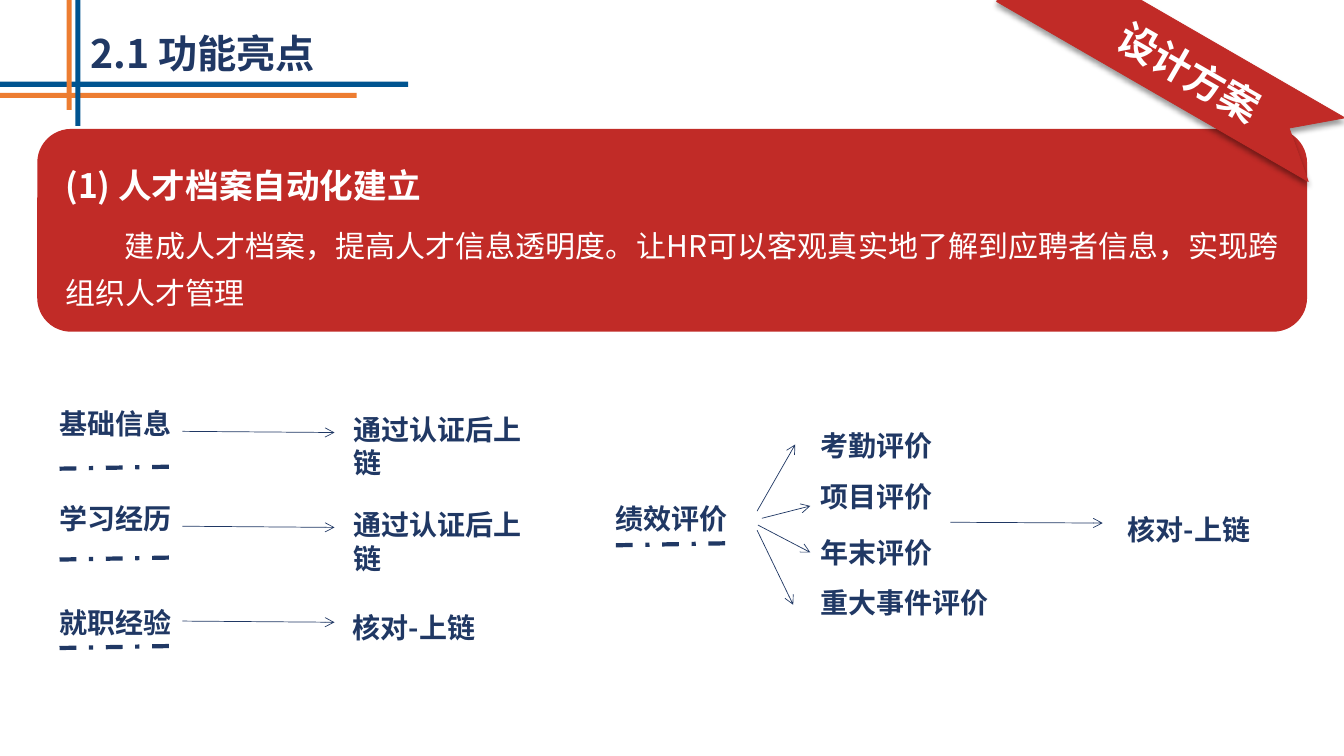
from lxml.etree import SubElement
from pptx import Presentation
from pptx.dml.color import RGBColor
from pptx.enum.dml import MSO_LINE
from pptx.enum.shapes import MSO_CONNECTOR, MSO_SHAPE
from pptx.enum.text import MSO_ANCHOR, PP_ALIGN
from pptx.oxml.ns import qn
from pptx.util import Cm, Pt

NAVY = RGBColor(0x20, 0x38, 0x64)
RED = RGBColor(0xC1, 0x2B, 0x27)
BLUE = RGBColor(0x00, 0x54, 0x90)
ORANGE = RGBColor(0xED, 0x7D, 0x31)
WHITE = RGBColor(0xFF, 0xFF, 0xFF)
FONT = "Noto Sans CJK SC"

# name, name top, arrow y, dash y, result, result left and top, width, spacing
ROWS = [
    ("基础信息", 10.11, 10.87, 11.81, "通过认证后上链", 8.66, 10.26, 5.4, 1),
    ("学习经历", 12.52, 13.26, 14.1, "通过认证后上链", 8.66, 12.67, 5.4, 1),
    ("就职经验", 15.14, 15.65, 16.33, "核对-上链", 8.64, 14.83, 3.6, 1.5),
]
# label, label top, label width, arrow start, arrow end
FAN = [
    ("考勤评价", 10.67, 3.33, (19.08, 12.88), (20.04, 11.2)),
    ("项目评价", 11.96, 3.33, (19.2, 13.06), (20.42, 12.75)),
    ("年末评价", 13.36, 3.33, (19.1, 13.23), (20.42, 13.92)),
    ("重大事件评价", 14.63, 4.75, (19.08, 13.36), (19.99, 15.24)),
]


def write(par, text, size=20, color=NAVY, bold=True, align=PP_ALIGN.LEFT,
          space=1, after=0, indent=0):
    par.alignment = align
    par.line_spacing = space
    par.space_after = Pt(after)
    if indent:
        par._p.get_or_add_pPr().set("indent", str(Cm(indent)))
    run = par.add_run()
    run.text = text
    font = run.font
    font.size, font.bold, font.name = Pt(size), bold, FONT
    font.color.rgb = color
    SubElement(run._r.get_or_add_rPr(), qn("a:ea")).set("typeface", FONT)


def label(slide, text, x, y, w, h=1.12, wrap=False, turn=0, **style):
    box = slide.shapes.add_textbox(Cm(x), Cm(y), Cm(w), Cm(h))
    box.rotation = turn
    box.text_frame.word_wrap = wrap
    write(box.text_frame.paragraphs[0], text, **style)


def block(slide, x, y, w, h, color, kind=MSO_SHAPE.RECTANGLE):
    shape = slide.shapes.add_shape(kind, Cm(x), Cm(y), Cm(w), Cm(h))
    shape.shadow.inherit = False
    shape.fill.solid()
    shape.fill.fore_color.rgb = color
    shape.line.fill.background()
    return shape


def line(slide, start, end, width=0.5):
    ends = [Cm(v) for v in (*start, *end)]
    link = slide.shapes.add_connector(MSO_CONNECTOR.STRAIGHT, *ends)
    link.line.color.rgb = NAVY
    link.line.width = Pt(width)
    SubElement(link._element.spPr, qn("a:effectLst"))
    return link


def arrow(slide, start, end):
    link = line(slide, start, end)
    SubElement(link.line._get_or_add_ln(), qn("a:tailEnd")).set("type", "arrow")


def dash(slide, x, y):
    """Underline a name with a slightly rising dash-dot line."""
    link = line(slide, (x, y), (x + 2.77, y - 0.05), width=3)
    link.line.dash_style = MSO_LINE.DASH_DOT


def heading(slide):
    label(slide, "2.1 功能亮点", 2.03, 0.61, 8.89, 1.45, wrap=True, size=28)


def cross(slide):
    """Draw the two pairs of bars that run in from the slide edges."""
    long, thin = 13.74, 0.13
    block(slide, -4.75, 2.34, long, thin, ORANGE)
    block(slide, -3.45, 2.06, long, thin, BLUE)
    block(slide, 1.9, -10.57, thin, long, BLUE)
    block(slide, 1.68, -10.97, thin, long, ORANGE)


def panel(slide):
    block(slide, 0.94, 3.25, 32, 5.11, RED, MSO_SHAPE.ROUNDED_RECTANGLE)
    frame = block(slide, 1.4, 3.84, 31.09, 4.14, RED).text_frame
    frame.word_wrap = True
    frame.vertical_anchor = MSO_ANCHOR.TOP
    style = dict(color=WHITE, align=PP_ALIGN.JUSTIFY, after=8)
    write(frame.paragraphs[0], "(1) 人才档案自动化建立", size=24, space=1.2,
          **style)
    write(frame.add_paragraph(),
          "建成人才档案，提高人才信息透明度。让HR可以客观真实地了解到应聘者信息，"
          "实现跨组织人才管理",
          size=21.4, bold=False, space=1.3, indent=1.5, **style)


def ribbon(slide):
    x, y, w, h = 24.97, 0.58, 9.07, 1.85
    tail = [(x + w, y), (x + 7.98, y + h / 2), (x + w, y + h), (x, y + h)]
    path = slide.shapes.build_freeform(Cm(x), Cm(y))
    path.add_line_segments([(Cm(a), Cm(b)) for a, b in tail])
    band = path.convert_to_shape()
    band.rotation = 30
    band.fill.solid()
    band.fill.fore_color.rgb = RED
    band.line.color.rgb = RED
    band.line.width = Pt(0.5)
    band.shadow.inherit = False
    glow = SubElement(band._element.spPr.find(qn("a:effectLst")),
                      qn("a:outerShdw"), blurRad=str(Pt(4)), dist=str(Pt(3)),
                      dir="5400000", algn="t", rotWithShape="0")
    tint = SubElement(glow, qn("a:srgbClr"), val="000000")
    SubElement(tint, qn("a:alpha"), val="40000")
    label(slide, "设计方案", 26.92, 1.09, 6.12, 1.45, wrap=True, turn=30,
          size=28, color=WHITE, align=PP_ALIGN.CENTER)


def records(slide):
    for name, top, mid, base, result, x, y, w, space in ROWS:
        label(slide, name, 1.24, top, 3.33)
        arrow(slide, (4.6, mid), (8.43, mid + 0.03))
        dash(slide, 1.5, base)
        label(slide, result, x, y, w, wrap=True, space=space)


def review(slide):
    label(slide, "绩效评价", 15.27, 12.5, 3.33)
    dash(slide, 15.52, 13.74)
    for text, top, width, start, end in FAN:
        arrow(slide, start, end)
        label(slide, text, 20.42, top, width)
    arrow(slide, (23.95, 13.16), (27.79, 13.18))
    label(slide, "核对-上链", 28.17, 12.37, 3.6, wrap=True, space=1.5)


def main():
    deck = Presentation()
    deck.slide_width, deck.slide_height = Cm(33.87), Cm(19.05)
    slide = deck.slides.add_slide(deck.slide_layouts[6])
    for part in (heading, panel, cross, ribbon, records, review):
        part(slide)
    deck.save("out.pptx")


if __name__ == "__main__":
    main()
